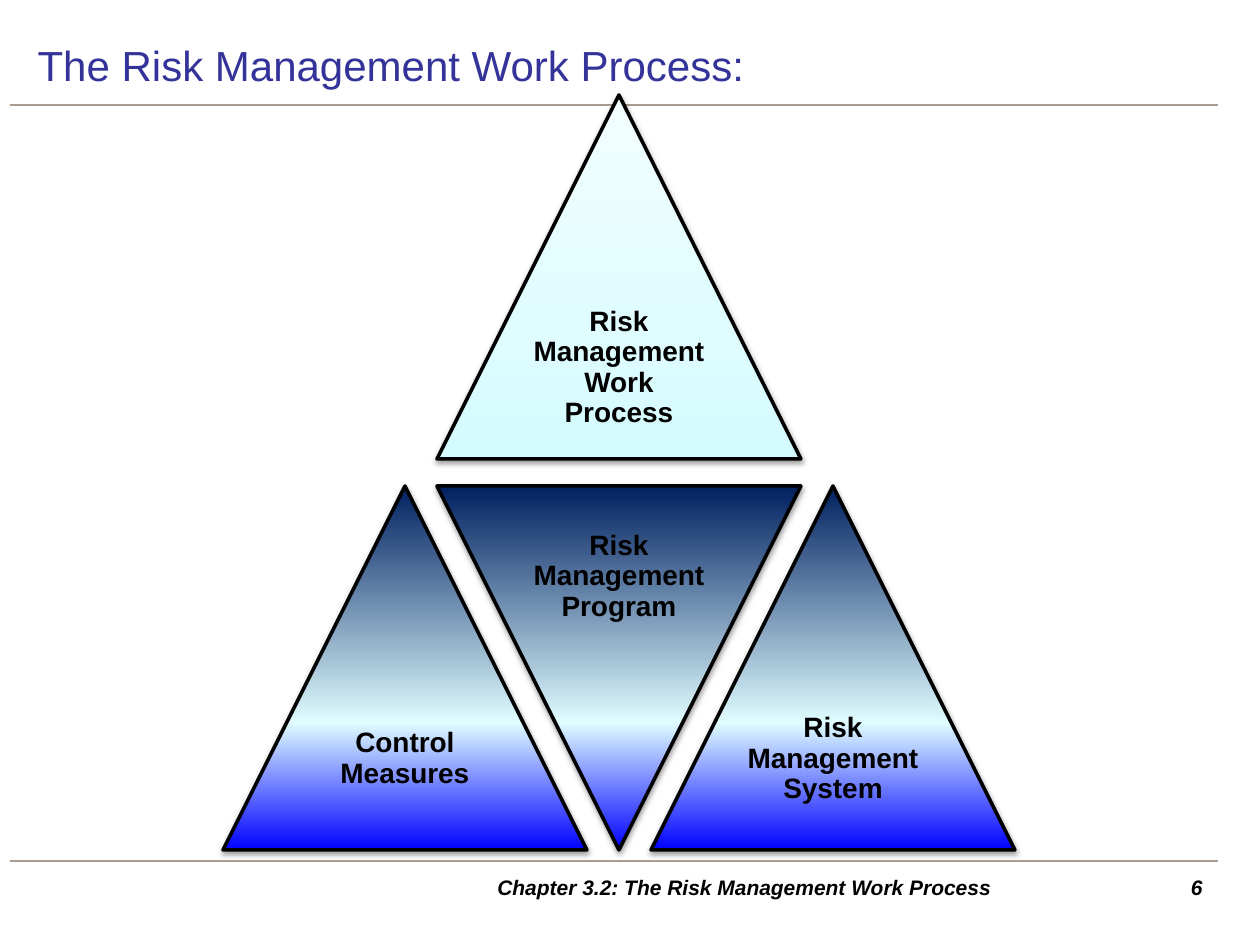
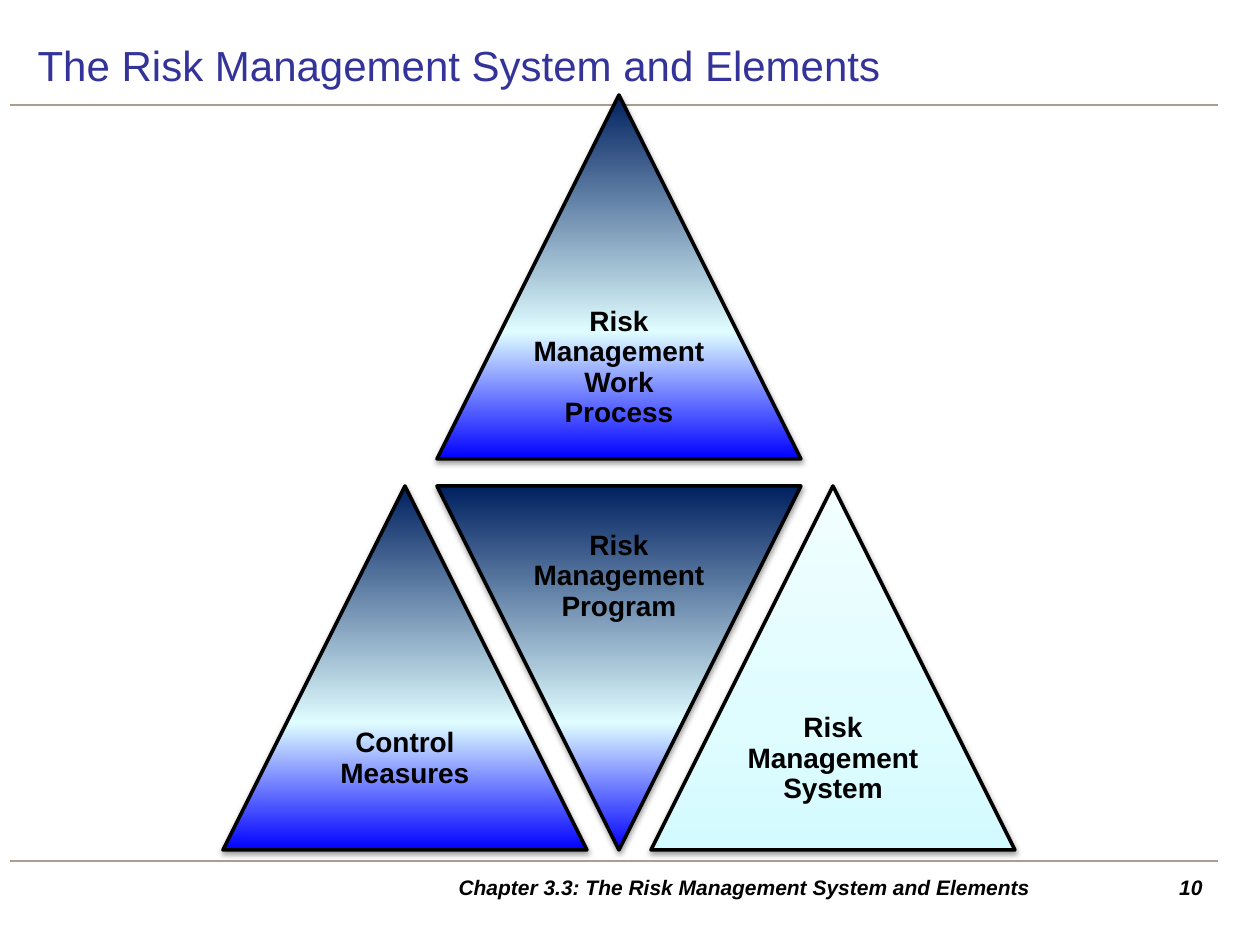
"""Build two slides showing the risk management pyramid with one part highlighted."""
import pptx
import pptx.util
import pptx.dml.color
import pptx.enum.shapes
import pptx.enum.text
import pptx.oxml
import pptx.oxml.ns

SCALE = 914400 / 126
RGB = pptx.dml.color.RGBColor
ALIGN = pptx.enum.text.PP_ALIGN
ANCHOR = pptx.enum.text.MSO_ANCHOR
qn = pptx.oxml.ns.qn
NS = pptx.oxml.ns.nsdecls("a")

BLACK = RGB(0x00, 0x00, 0x00)
TITLE_BLUE = RGB(0x33, 0x33, 0x99)
RULE = RGB(0xAA, 0x9C, 0x8F)
PALE = RGB(0xDF, 0xFC, 0xFF)
LIT = [(0, RGB(0xD3, 0xFB, 0xFF)), (35, PALE), (100, RGB(0xF2, 0xFE, 0xFF))]
DIM = [(0, RGB(0x00, 0x00, 0xFF)), (35, PALE), (100, RGB(0x00, 0x20, 0x60))]

SIDE = 364
INSET = 91
LEFT, STEP = 223, 214
UPPER, LOWER = 95, 486
TRIANGLES = [
    ("Risk Management Work Process", LEFT + STEP, UPPER, True),
    ("Control Measures", LEFT, LOWER, True),
    ("Risk Management Program", LEFT + STEP, LOWER, False),
    ("Risk Management System", LEFT + 2 * STEP, LOWER, True),
]
SLIDES = [
    ("The Risk Management Work Process:",
     "Chapter 3.2: The Risk Management Work Process", "6",
     "Risk Management Work Process"),
    ("The Risk Management System and Elements",
     "Chapter 3.3: The Risk Management System and Elements", "10",
     "Risk Management System"),
]


def px(*values):
    return [pptx.util.Emu(round(v * SCALE)) for v in values]


def write(tf, text, size=12, color=BLACK, bold=False, italic=False,
          align=ALIGN.CENTER, anchor=ANCHOR.MIDDLE, spacing=1.0):
    tf.word_wrap = True
    tf.auto_size = pptx.enum.text.MSO_AUTO_SIZE.NONE
    tf.vertical_anchor = anchor
    p = tf.paragraphs[0]
    p.alignment = align
    p.line_spacing = spacing
    r = p.add_run()
    r.text = text
    r.font.name = "Arial"
    r.font.size = pptx.util.Pt(size)
    r.font.bold = bold
    r.font.italic = italic
    r.font.color.rgb = color


prs = pptx.Presentation()
prs.slide_width, prs.slide_height = px(1260, 945)

for title, footer, number, highlight in SLIDES:
    s = prs.slides.add_slide(prs.slide_layouts[5])

    for y in (105, 861):
        line = s.shapes.add_connector(
            pptx.enum.shapes.MSO_CONNECTOR.STRAIGHT, *px(10, y, 1218, y))
        line.line.color.rgb = RULE
        line.line.width = pptx.util.Pt(0.75)
        line._element.spPr.append(pptx.oxml.parse_xml(f"<a:effectLst {NS}/>"))

    sp = s.shapes.title
    sp.left, sp.top, sp.width, sp.height = px(25, 30, 1191, 69)
    write(sp.text_frame, title, size=24, color=TITLE_BLUE, align=ALIGN.LEFT)

    sp = s.shapes.add_textbox(*px(1142, 868, 73, 39))
    write(sp.text_frame, number, bold=True, italic=True,
          align=ALIGN.RIGHT, anchor=ANCHOR.TOP)
    sp = s.shapes.add_textbox(*px(372, 868, 745, 39))
    write(sp.text_frame, footer, bold=True, italic=True)

    for label, x, y, upright in TRIANGLES:
        base, tip = (y + SIDE, y) if upright else (y, y + SIDE)
        outline = s.shapes.build_freeform(x, base, scale=SCALE)
        outline.add_line_segments([(x + SIDE // 2, tip), (x + SIDE, base)])
        sp = outline.convert_to_shape()
        sp.line.color.rgb = BLACK
        sp.line.width = pptx.util.Pt(2)

        sp.fill.gradient()
        sp.fill.gradient_angle = 90
        stops = sp._element.spPr.find(".//" + qn("a:gsLst"))
        stops.clear()
        for pos, color in LIT if label == highlight else DIM:
            stops.append(pptx.oxml.parse_xml(
                f'<a:gs {NS} pos="{pos * 1000}"><a:srgbClr val="{color}"/></a:gs>'))

        sp.shadow.inherit = False
        sp._element.spPr.find(qn("a:effectLst")).append(pptx.oxml.parse_xml(
            f'<a:outerShdw {NS} blurRad="40000" dist="20000" dir="5400000" '
            'rotWithShape="0"><a:srgbClr val="000000"><a:alpha val="38000"/>'
            '</a:srgbClr></a:outerShdw>'))

        tf = sp.text_frame
        tf.margin_left, tf.margin_right = px(INSET, INSET)
        tf.margin_top, tf.margin_bottom = px(
            *((SIDE // 2, 0) if upright else (0, SIDE // 2)))
        write(tf, label, size=16, bold=True, spacing=0.9)

prs.save("out.pptx")
